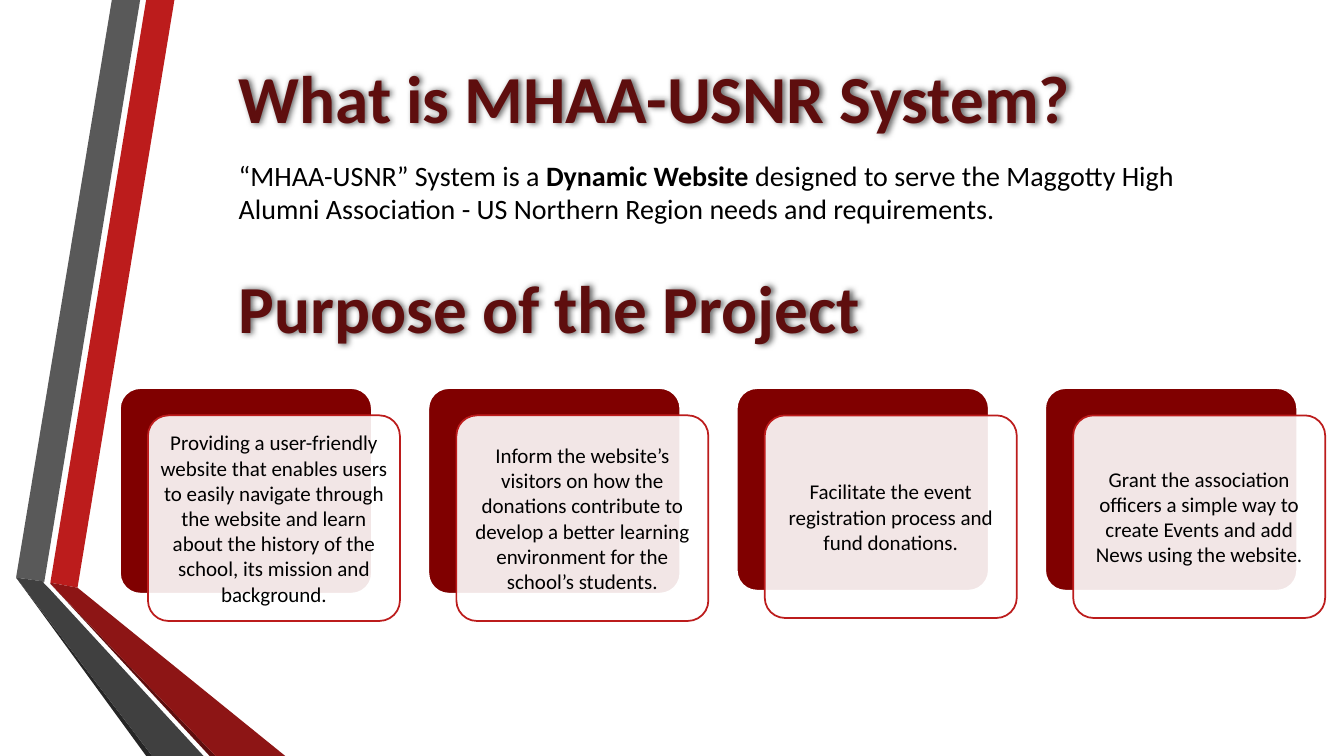
from lxml import etree
from pptx import Presentation
from pptx import util as u
from pptx.dml.color import RGBColor
from pptx.enum import shapes, text
from pptx.oxml.ns import qn

Pt = u.Pt

THEME = {
    "font": "Calibri", "head": 48, "body": 20, "card": 15, "line": 1.25,
    "title": "5E0E0E", "ink": "000000", "back": "800000",
    "edge": "BC1C1C", "white": "FFFFFF",
}

RIBBONS = [
    ("BC1C1C", [(36, 416.2), (55.4, 419.8), (124.6, 0), (104.4, 0)]),
    ("595959", [(100.1, 0), (79.9, 0), (11.5, 412.6), (31.7, 415.4)]),
    ("262626", [(11.5, 412.6), (104.4, 540), (108.7, 540)]),
    ("5E0E0E", [(36, 416.9), (149.8, 540), (154.1, 540)]),
    ("8D1515", [(36, 416.9), (154.1, 540), (203.8, 540), (55.4, 419.8),
                (36, 416.2)]),
    ("404040", [(145.4, 540), (34.6, 419.8), (31, 416.2), (31.7, 415.4),
                (11.5, 412.6), (108.7, 540)]),
]

HEADS = [("What is MHAA-USNR System?", 36.7), ("Purpose of the Project", 186.5)]

INTRO = [
    ("“MHAA-USNR” System is a ", False),
    ("Dynamic Website ", True),
    ("designed to serve the Maggotty High Alumni Association - "
     "US Northern Region needs and requirements.", False),
]

CARDS = [
    ("Providing a user-friendly website that enables users to easily navigate "
     "through the website and learn about the history of the school, its "
     "mission and background.", 146.9),
    ("Inform the website’s visitors on how the donations contribute to develop "
     "a better learning environment for the school’s students.", 146.9),
    ("Facilitate the event registration process and fund donations.", 144.7),
    ("Grant the association officers a simple way to create Events and add "
     "News using the website.", 144.7),
]

LEFT = 163.4
CARD_X, CARD_Y, CARD_W, STEP = 85.7, 277.2, 180, 220.3
SHIFT_X, SHIFT_Y, INSET = 20, 19.5, 4.3


def color(name):
    return RGBColor.from_string(THEME.get(name, name))


def style(run, size, ink, bold=False):
    font = run.font
    font.name, font.size, font.bold = THEME["font"], Pt(THEME[size]), bold
    font.color.rgb = color(ink)


def add_ribbon(slide, fill, points):
    spots = [(Pt(x), Pt(y)) for x, y in points]
    pen = slide.shapes.build_freeform(*spots[0])
    pen.add_line_segments(spots[1:], close=True)
    band = pen.convert_to_shape()
    band.shadow.inherit = False
    band.fill.solid()
    band.fill.fore_color.rgb = color(fill)
    band.line.fill.background()


def add_text(slide, top, width, height, parts, size, ink):
    box = slide.shapes.add_textbox(Pt(LEFT), Pt(top), Pt(width), Pt(height))
    frame = box.text_frame
    frame.word_wrap = True
    frame.auto_size = text.MSO_AUTO_SIZE.SHAPE_TO_FIT_TEXT
    for words, bold in parts:
        run = frame.paragraphs[0].add_run()
        run.text = words
        style(run, size, ink, bold)
    return box


def add_glow(box):
    effects = etree.SubElement(box._element.spPr, qn("a:effectLst"))
    shade = etree.SubElement(effects, qn("a:outerShdw"), blurRad="50800",
                             dist="12700", dir="18900000", algn="bl")
    tint = etree.SubElement(shade, qn("a:srgbClr"), val=THEME["ink"])
    etree.SubElement(tint, qn("a:alpha"), val="60000")


def add_panel(slide, x, y, height, fill, edge):
    panel = slide.shapes.add_shape(shapes.MSO_SHAPE.ROUNDED_RECTANGLE,
                                   Pt(x), Pt(y), Pt(CARD_W), Pt(height))
    panel.adjustments[0] = 0.1
    panel.shadow.inherit = False
    panel.fill.solid()
    panel.fill.fore_color.rgb = color(fill)
    panel.line.color.rgb = color(edge)
    panel.line.width = Pt(THEME["line"])
    return panel


def add_card(slide, x, words, height):
    add_panel(slide, x, CARD_Y, height, "back", "white")
    front = add_panel(slide, x + SHIFT_X, CARD_Y + SHIFT_Y, height,
                      "white", "edge")
    tint = front._element.spPr.find(qn("a:solidFill"))[0]
    etree.SubElement(tint, qn("a:alpha"), val="90000")
    frame = front.text_frame
    frame.word_wrap = True
    frame.vertical_anchor = text.MSO_ANCHOR.MIDDLE
    frame.margin_left = frame.margin_right = Pt(INSET)
    frame.margin_top = frame.margin_bottom = Pt(INSET)
    frame.text = words
    para = frame.paragraphs[0]
    para.alignment = text.PP_ALIGN.CENTER
    style(para.runs[0], "card", "ink")


def main():
    deck = Presentation()
    deck.slide_width, deck.slide_height = Pt(960), Pt(540)
    slide = deck.slides.add_slide(deck.slide_layouts[6])
    for fill, points in RIBBONS:
        add_ribbon(slide, fill, points)
    for words, top in HEADS:
        add_glow(add_text(slide, top, 762.5, 65.5, [(words, True)],
                          "head", "title"))
    add_text(slide, 109.4, 742.3, 55.4, INTRO, "body", "ink")
    for i, (words, height) in enumerate(CARDS):
        add_card(slide, CARD_X + i * STEP, words, height)
    deck.save("out.pptx")


if __name__ == "__main__":
    main()
